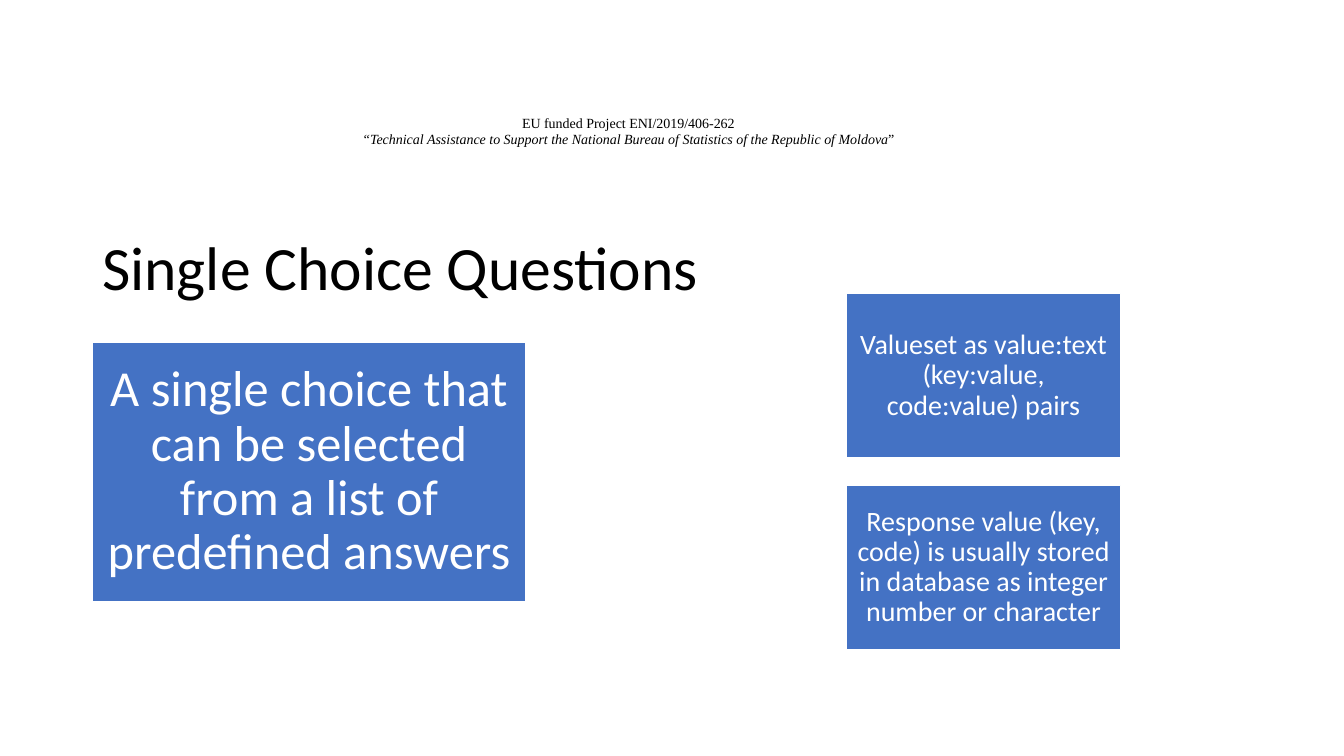
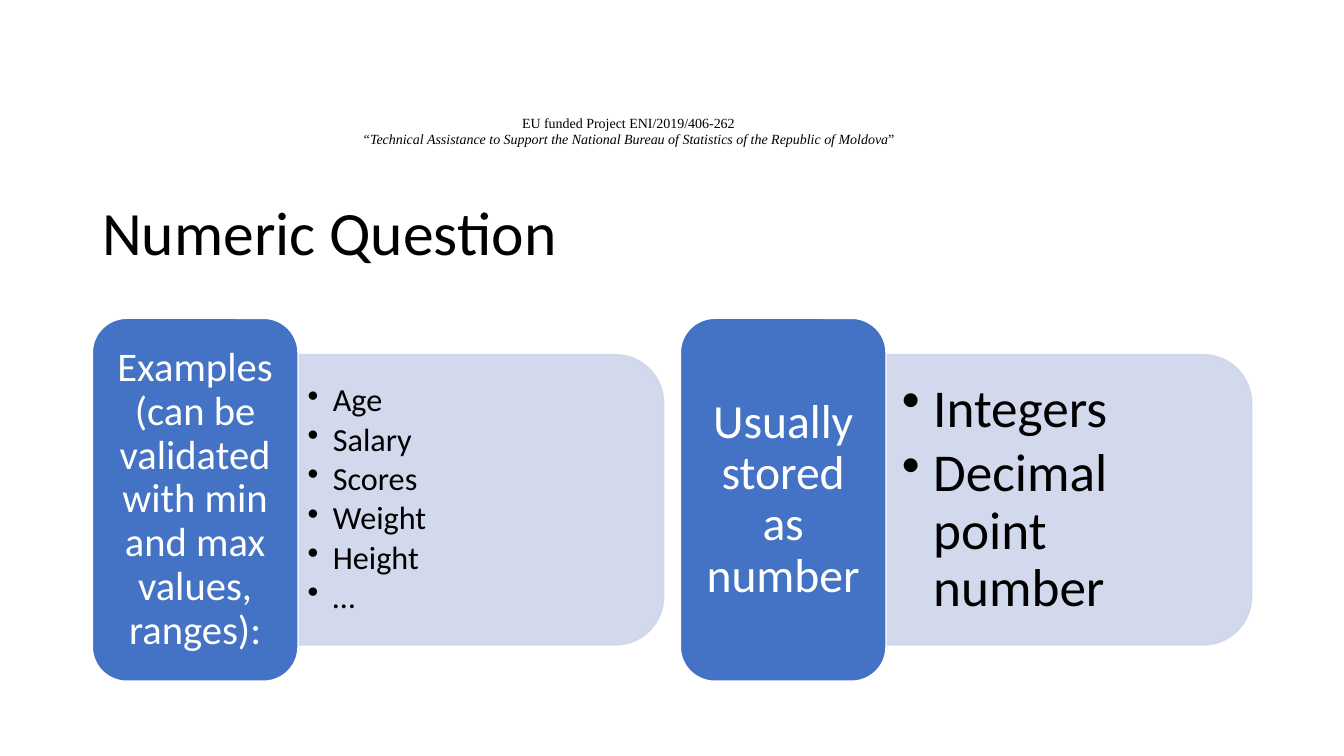
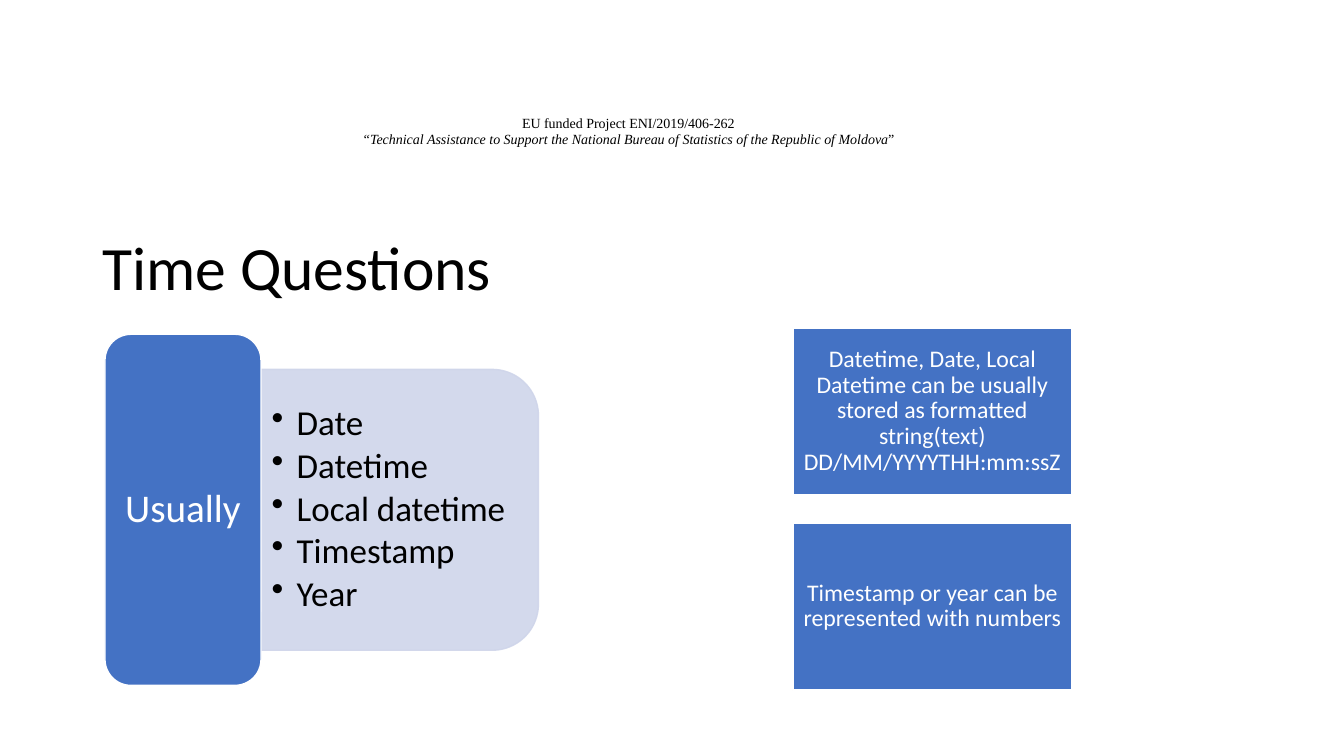
from dataclasses import dataclass
from typing import Any

from lxml import etree
from pptx import Presentation
from pptx import util as u
from pptx.dml.color import RGBColor
from pptx.enum import shapes, text
from pptx.oxml import ns
from pptx.slide import Slide

WIDTH, HEIGHT = u.Inches(40 / 3), u.Inches(7.5)
COLUMNS, ROWS = 160, 90


@dataclass(frozen=True)
class Theme:
    accent: str = "4472C4"
    tint: str = "CFD5EA"
    ink: str = "000000"
    paper: str = "FFFFFF"
    tint_opacity: int = 90
    body_font: str = "Calibri"
    header_font: str = "Times New Roman"
    title_size: int = 44
    header_size: int = 10
    statement_size: int = 36
    note_size: int = 20
    small_note_size: int = 17
    line_spacing: float = 0.9
    inset_share: float = 0.3  # of the type size
    item_gap_share: float = 0.14  # of the type size


THEME = Theme()


@dataclass(frozen=True)
class Area:
    """A rectangle in columns and rows of the slide grid."""
    left: float
    top: float
    width: float
    height: float

    def lengths(self) -> tuple[int, int, int, int]:
        column, row = WIDTH / COLUMNS, HEIGHT / ROWS
        return (round(self.left * column), round(self.top * row),
                round(self.width * column), round(self.height * row))


@dataclass(frozen=True)
class Stack:
    """Equal boxes, one below the other."""
    left: float
    top: float
    width: float
    notes: tuple[str, ...]
    size: int
    outline: float = 1


@dataclass(frozen=True)
class Panel:
    """A label with a bulleted list attached to its right."""
    area: Area
    label: str
    label_size: int
    items: tuple[str, ...]
    item_size: int
    hanging: float = 0.25


@dataclass(frozen=True)
class Page:
    title: str
    anchor: text.MSO_ANCHOR
    figures: tuple[Stack | Panel, ...]


HEADER_AREA = Area(34.8, 13, 80, 5.3)
HEADER_LINES = (
    (("EU funded Project ENI/2019/406-262", False),),
    (("“Technical Assistance to Support the National Bureau of Statistics"
      " of the Republic of Moldova", True), ("”", False)),
)
TITLE_AREA = Area(11, 19.3, 138, 17.4)

PAGES = (
    Page("Single Choice Questions", text.MSO_ANCHOR.BOTTOM, (
        Stack(100.8, 34.95, 32.6, (
            "Valueset as value:text (key:value, code:value) pairs",
            "Response value (key, code) is usually stored in database"
            " as integer number or character",
        ), THEME.note_size),
        Stack(11, 40.7, 51.6, (
            "A single choice that can be selected from a list of predefined answers",
        ), THEME.statement_size),
    )),
    Page("Numeric Question", text.MSO_ANCHOR.MIDDLE, (
        Panel(Area(11, 37.9, 68, 43.2),
              "Examples (can be validated with min and max values, ranges):", 29,
              ("Age", "Salary", "Scores", "Weight", "Height", "…"), 23),
        Panel(Area(81, 37.9, 68, 43.2), "Usually stored as number", 34,
              ("Integers", "Decimal point number"), 38, 0.31),
    )),
    Page("Time Questions", text.MSO_ANCHOR.BOTTOM, (
        Stack(94.4, 39, 33.2, (
            "Datetime, Date, Local Datetime can be usually stored as formatted"
            " string(text) DD/MM/YYYYTHH:mm:ssZ",
            "Timestamp or year can be represented with numbers",
        ), THEME.small_note_size, 1.5),
        Panel(Area(12.5, 39.8, 51.6, 41.8), "Usually", 28,
              ("Date", "Datetime", "Local datetime", "Timestamp", "Year"), 25),
    )),
)


def apply(target: Any, values: dict[str, Any]) -> None:
    for name, value in values.items():
        setattr(target, name, value)


def add_run(paragraph: Any, words: str, size: float, color: str,
            font: str = THEME.body_font, italic: bool = False) -> None:
    run = paragraph.add_run()
    run.text = words
    apply(run.font, {"name": font, "size": u.Pt(size), "italic": italic})
    run.font.color.rgb = RGBColor.from_string(color)


def set_frame(frame: Any, anchor: text.MSO_ANCHOR, side: int, end: int) -> None:
    apply(frame, {
        "word_wrap": True, "auto_size": text.MSO_AUTO_SIZE.NONE,
        "vertical_anchor": anchor, "margin_left": side, "margin_right": side,
        "margin_top": end, "margin_bottom": end,
    })


def add_block(slide: Slide, kind: shapes.MSO_SHAPE, area: Area,
              fill: str, line: str, outline: float = 1) -> Any:
    shape = slide.shapes.add_shape(kind, *area.lengths())
    shape.shadow.inherit = False
    shape.fill.solid()
    shape.fill.fore_color.rgb = RGBColor.from_string(fill)
    shape.line.color.rgb = RGBColor.from_string(line)
    shape.line.width = u.Pt(outline)
    return shape


def add_caption(shape: Any, words: str, size: int, end_share: float = 1) -> None:
    """Write centred text in a filled shape, with insets that follow its size."""
    inset = THEME.inset_share * size
    set_frame(shape.text_frame, text.MSO_ANCHOR.MIDDLE,
              u.Pt(inset), u.Pt(inset * end_share))
    paragraph = shape.text_frame.paragraphs[0]
    apply(paragraph, {"alignment": text.PP_ALIGN.CENTER,
                      "line_spacing": THEME.line_spacing})
    add_run(paragraph, words, size, THEME.paper)


def add_header(slide: Slide) -> None:
    frame = slide.shapes.add_textbox(*HEADER_AREA.lengths()).text_frame
    set_frame(frame, text.MSO_ANCHOR.TOP, u.Inches(0.1), u.Inches(0.05))
    for index, runs in enumerate(HEADER_LINES):
        paragraph = frame.add_paragraph() if index else frame.paragraphs[0]
        paragraph.alignment = text.PP_ALIGN.CENTER
        for words, italic in runs:
            add_run(paragraph, words, THEME.header_size, THEME.ink,
                    THEME.header_font, italic)


def add_title(slide: Slide, title: str, anchor: text.MSO_ANCHOR) -> None:
    frame = slide.shapes.add_textbox(*TITLE_AREA.lengths()).text_frame
    set_frame(frame, anchor, u.Inches(0.1), u.Inches(0.05))
    frame.paragraphs[0].line_spacing = THEME.line_spacing
    add_run(frame.paragraphs[0], title, THEME.title_size, THEME.ink)


def add_stack(slide: Slide, stack: Stack) -> None:
    height, gap = 0.6 * stack.width, 0.1 * stack.width
    for index, note in enumerate(stack.notes):
        area = Area(stack.left, stack.top + index * (height + gap), stack.width, height)
        box = add_block(slide, shapes.MSO_SHAPE.RECTANGLE, area,
                        THEME.accent, THEME.paper, stack.outline)
        add_caption(box, note, stack.size)


def add_list(slide: Slide, area: Area, panel: Panel) -> None:
    size = panel.item_size
    inset = THEME.inset_share * size
    frame = slide.shapes.add_textbox(*area.lengths()).text_frame
    set_frame(frame, text.MSO_ANCHOR.MIDDLE, u.Pt(inset), u.Pt(inset / 2))
    for index, item in enumerate(panel.items):
        paragraph = frame.add_paragraph() if index else frame.paragraphs[0]
        properties = paragraph._p.get_or_add_pPr()
        properties.set("marL", str(u.Inches(panel.hanging)))
        properties.set("indent", str(-u.Inches(panel.hanging)))
        etree.SubElement(properties, ns.qn("a:buChar"), char="•")
        apply(paragraph, {"level": 1, "line_spacing": THEME.line_spacing,
                          "space_after": u.Pt(THEME.item_gap_share * size)})
        add_run(paragraph, item, size, THEME.ink)


def add_panel(slide: Slide, panel: Panel) -> None:
    area = panel.area
    label_width, body_height = 0.36 * area.width, 0.8 * area.height
    body_left, body_width = area.left + label_width, area.width - label_width
    body_top = area.top + (area.height - body_height) / 2

    # A quarter turn swaps the sides around the same centre.
    shift = (body_width - body_height) / 2
    body = add_block(slide, shapes.MSO_SHAPE.ROUND_2_SAME_RECTANGLE,
                     Area(body_left + shift, body_top - shift, body_height, body_width),
                     THEME.tint, THEME.tint)
    body.rotation = 90
    for color in body._element.spPr.iter(ns.qn("a:srgbClr")):
        etree.SubElement(color, ns.qn("a:alpha"), val=str(THEME.tint_opacity * 1000))

    corner = 0.05 * body_height
    add_list(slide, Area(body_left, body_top + corner, body_width - corner,
                         body_height - 2 * corner), panel)
    label = add_block(slide, shapes.MSO_SHAPE.ROUNDED_RECTANGLE,
                      Area(area.left, area.top, label_width, area.height),
                      THEME.accent, THEME.paper)
    add_caption(label, panel.label, panel.label_size, 0.5)


def main() -> None:
    presentation = Presentation()
    apply(presentation, {"slide_width": WIDTH, "slide_height": HEIGHT})
    blank = presentation.slide_layouts[6]
    for page in PAGES:
        slide = presentation.slides.add_slide(blank)
        add_header(slide)
        add_title(slide, page.title, page.anchor)
        for figure in page.figures:
            if isinstance(figure, Stack):
                add_stack(slide, figure)
            else:
                add_panel(slide, figure)
    presentation.save("out.pptx")


if __name__ == "__main__":
    main()
